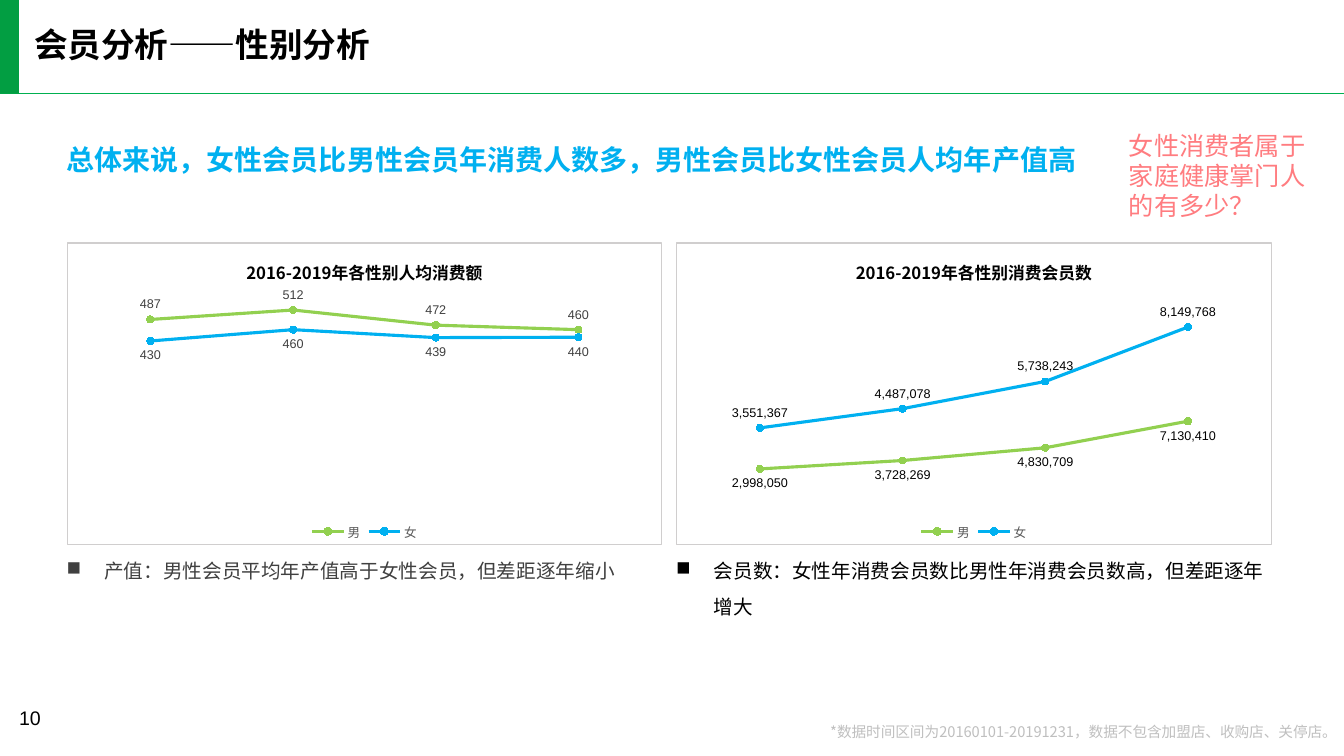
from dataclasses import dataclass

from lxml import etree
from pptx import Presentation
from pptx.chart.data import CategoryChartData
from pptx.dml.color import RGBColor
from pptx.enum.chart import XL_CHART_TYPE, XL_LABEL_POSITION, XL_LEGEND_POSITION, XL_MARKER_STYLE
from pptx.enum.shapes import MSO_CONNECTOR, MSO_SHAPE
from pptx.enum.text import MSO_ANCHOR, PP_ALIGN
from pptx.oxml import parse_xml
from pptx.oxml.ns import nsdecls, qn
from pptx.util import Cm, Pt

TOP, MIDDLE = MSO_ANCHOR.TOP, MSO_ANCHOR.MIDDLE
LEFT, RIGHT = PP_ALIGN.LEFT, PP_ALIGN.RIGHT
ABOVE, BELOW = XL_LABEL_POSITION.ABOVE, XL_LABEL_POSITION.BELOW
LINES, STACKED_LINES = XL_CHART_TYPE.LINE_MARKERS, XL_CHART_TYPE.LINE_MARKERS_STACKED
LEGEND_BOTTOM = XL_LEGEND_POSITION.BOTTOM
CIRCLE = XL_MARKER_STYLE.CIRCLE
STRAIGHT, RECTANGLE = MSO_CONNECTOR.STRAIGHT, MSO_SHAPE.RECTANGLE


@dataclass(frozen=True)
class Theme:
    cjk: str = "Noto Sans CJK SC"
    latin: str = "Arial"
    black: str = "000000"
    dark_grey: str = "404040"
    legend_grey: str = "595959"
    light_grey: str = "BFBFBF"
    border: str = "D0CECE"
    bar_green: str = "029E42"
    rule_green: str = "00B050"
    male: str = "92D050"
    female: str = "00B0F0"
    question: str = "FF7C80"
    title_size: float = 24
    headline_size: float = 20
    question_size: float = 18
    body_size: float = 14
    chart_title_size: float = 12
    footnote_size: float = 10.5
    chart_size: float = 10
    label_size: float = 9


THEME = Theme()


def style_font(font, size, color, name=THEME.latin, bold=False):
    font.size = Pt(size)
    font.bold = bold
    font.color.rgb = RGBColor.from_string(color)
    font.name = name


def write_paragraph(paragraph, text, size, color, name=THEME.cjk, bold=False):
    paragraph.text = text
    style_font(paragraph.font, size, color, name, bold)
    properties = paragraph.font._element
    properties.find(qn("a:latin")).addnext(
        parse_xml(f'<a:ea {nsdecls("a")} typeface="{THEME.cjk}"/>'))


def format_frame(frame, anchor=TOP, wrap=True):
    frame.margin_left = frame.margin_right = frame.margin_top = frame.margin_bottom = 0
    frame.vertical_anchor = anchor
    frame.word_wrap = wrap
    return frame.paragraphs[0]


def add_text_box(slide, box, anchor=TOP, wrap=True):
    shape = slide.shapes.add_textbox(*map(Cm, box))
    return format_frame(shape.text_frame, anchor, wrap)


def add_header(slide, box):
    left, top, width, height = box
    rule = slide.shapes.add_connector(
        STRAIGHT, Cm(left), Cm(top + height), Cm(left + width), Cm(top + height))
    rule.line.color.rgb = RGBColor.from_string(THEME.rule_green)
    rule.line.width = Pt(1)
    etree.SubElement(rule._element.spPr, qn("a:effectLst"))

    title = slide.shapes.title
    title.left, title.top = Cm(left + 0.86), Cm(top + 0.71)
    title.width, title.height = Cm(15.98), Cm(0.91)
    paragraph = format_frame(title.text_frame, MIDDLE)
    paragraph.alignment = LEFT
    paragraph.line_spacing = 0.9
    write_paragraph(paragraph, "会员分析——性别分析", THEME.title_size, THEME.black, bold=True)

    bar = slide.shapes.add_shape(RECTANGLE, Cm(left), Cm(top), Cm(0.48), Cm(height))
    bar.shadow.inherit = False
    bar.fill.solid()
    bar.fill.fore_color.rgb = RGBColor.from_string(THEME.bar_green)
    bar.line.fill.background()


def add_summary(slide, box):
    left, top, width, height = box
    headline = add_text_box(slide, (left, top + 0.63, width, 0.66), MIDDLE)
    headline.line_spacing = Pt(18)
    write_paragraph(headline, "总体来说，女性会员比男性会员年消费人数多，男性会员比女性会员人均年产值高",
                    THEME.headline_size, THEME.female, bold=True)
    question = add_text_box(slide, (left + 26.77, top + 0.13, 4.57, height - 0.26))
    write_paragraph(question, "女性消费者属于家庭健康掌门人的有多少？",
                    THEME.question_size, THEME.question, THEME.latin)


def frame_chart(chart):
    chart.element.find(qn("c:chart")).addnext(parse_xml(
        f'<c:spPr {nsdecls("c", "a")}><a:noFill/><a:ln w="{Pt(0.75)}"><a:solidFill>'
        f'<a:srgbClr val="{THEME.border}"/></a:solidFill></a:ln></c:spPr>'))
    plot_area = chart.element.find(f'{qn("c:chart")}/{qn("c:plotArea")}')
    layout = plot_area.find(qn("c:layout"))
    if layout is not None:
        plot_area.remove(layout)
    plot_area.insert(0, parse_xml(
        f'<c:layout {nsdecls("c")}><c:manualLayout><c:layoutTarget val="inner"/>'
        '<c:xMode val="edge"/><c:yMode val="edge"/><c:x val="0.02"/><c:y val="0.175"/>'
        '<c:w val="0.96"/><c:h val="0.69"/></c:manualLayout></c:layout>'))


def add_line_chart(slide, box, kind, title, men, women, maximum, number_format, positions, ink):
    data = CategoryChartData(number_format=number_format)
    data.categories = ["1", "2", "3", "4"]
    data.add_series("男", men)
    data.add_series("女", women)
    chart = slide.shapes.add_chart(kind, *map(Cm, box), data).chart
    style_font(chart.font, THEME.chart_size, THEME.black)
    frame_chart(chart)
    chart.has_title = True
    write_paragraph(chart.chart_title.text_frame.paragraphs[0], title,
                    THEME.chart_title_size, THEME.black, bold=True)
    chart.has_legend = True
    chart.legend.position = LEGEND_BOTTOM
    chart.legend.include_in_layout = False
    style_font(chart.legend.font, THEME.label_size, THEME.legend_grey)
    chart.value_axis.minimum_scale = 0
    chart.value_axis.maximum_scale = maximum
    for axis in (chart.category_axis, chart.value_axis):
        axis.has_major_gridlines = False
        axis.visible = False
    chart.plots[0].vary_by_categories = False
    for series, color, position in zip(chart.plots[0].series, (THEME.male, THEME.female), positions):
        rgb = RGBColor.from_string(color)
        series.smooth = False
        series.format.line.color.rgb = rgb
        series.format.line.width = Pt(2.25)
        series.marker.style = CIRCLE
        series.marker.size = 5
        series.marker.format.fill.solid()
        series.marker.format.fill.fore_color.rgb = rgb
        series.marker.format.line.color.rgb = rgb
        labels = series.data_labels
        labels.show_value = True
        labels.number_format = number_format
        labels.number_format_is_linked = False
        labels.position = position
        style_font(labels.font, THEME.label_size, ink)


def add_panel(slide, box, finding, ink, **chart_settings):
    left, top, width, height = box
    add_line_chart(slide, (left, top, width, 7.62), ink=ink, **chart_settings)
    paragraph = add_text_box(slide, (left, top + 7.69, width, height - 7.69))
    paragraph.line_spacing = 1.5
    properties = paragraph._p.get_or_add_pPr()
    properties.set("marL", str(Cm(0.95)))
    properties.set("indent", str(-Cm(0.95)))
    etree.SubElement(properties, qn("a:buChar"), char="■")
    write_paragraph(paragraph, finding, THEME.body_size, ink)


def add_footer(slide, box):
    left, top, width, height = box
    number = add_text_box(slide, (left + 0.48, top + 0.13, 1.8, 0.76))
    write_paragraph(number, "10", THEME.body_size, THEME.black, THEME.latin)
    footnote = add_text_box(slide, (left + width - 13.35, top + 0.61, 13.18, 0.41), wrap=False)
    footnote.alignment = RIGHT
    footnote.line_spacing = 0.9
    write_paragraph(footnote, "*数据时间区间为20160101-20191231，数据不包含加盟店、收购店、关停店。",
                    THEME.footnote_size, THEME.light_grey)


def main():
    presentation = Presentation()
    presentation.slide_width, presentation.slide_height = Cm(33.87), Cm(19.05)
    slide = presentation.slides.add_slide(presentation.slide_layouts[5])
    add_header(slide, (0, 0, 33.87, 2.36))
    add_summary(slide, (1.68, 3.15, 30.63, 2.57))
    add_panel(slide, (1.68, 6.11, 15.01, 9.5), "产值：男性会员平均年产值高于女性会员，但差距逐年缩小",
              THEME.dark_grey, kind=LINES, title="2016-2019年各性别人均消费额",
              men=(487, 512, 472, 460), women=(430, 460, 439, 440),
              maximum=550, number_format="0", positions=(ABOVE, BELOW))
    add_panel(slide, (17.04, 6.11, 15.01, 9.5), "会员数：女性年消费会员数比男性年消费会员数高，但差距逐年增大",
              THEME.black, kind=STACKED_LINES, title="2016-2019年各性别消费会员数",
              men=(2998050, 3728269, 4830709, 7130410), women=(3551367, 4487078, 5738243, 8149768),
              maximum=18000000, number_format="#,##0", positions=(BELOW, ABOVE))
    add_footer(slide, (0, 17.65, 33.87, 1.4))
    presentation.save("out.pptx")


if __name__ == "__main__":
    main()
